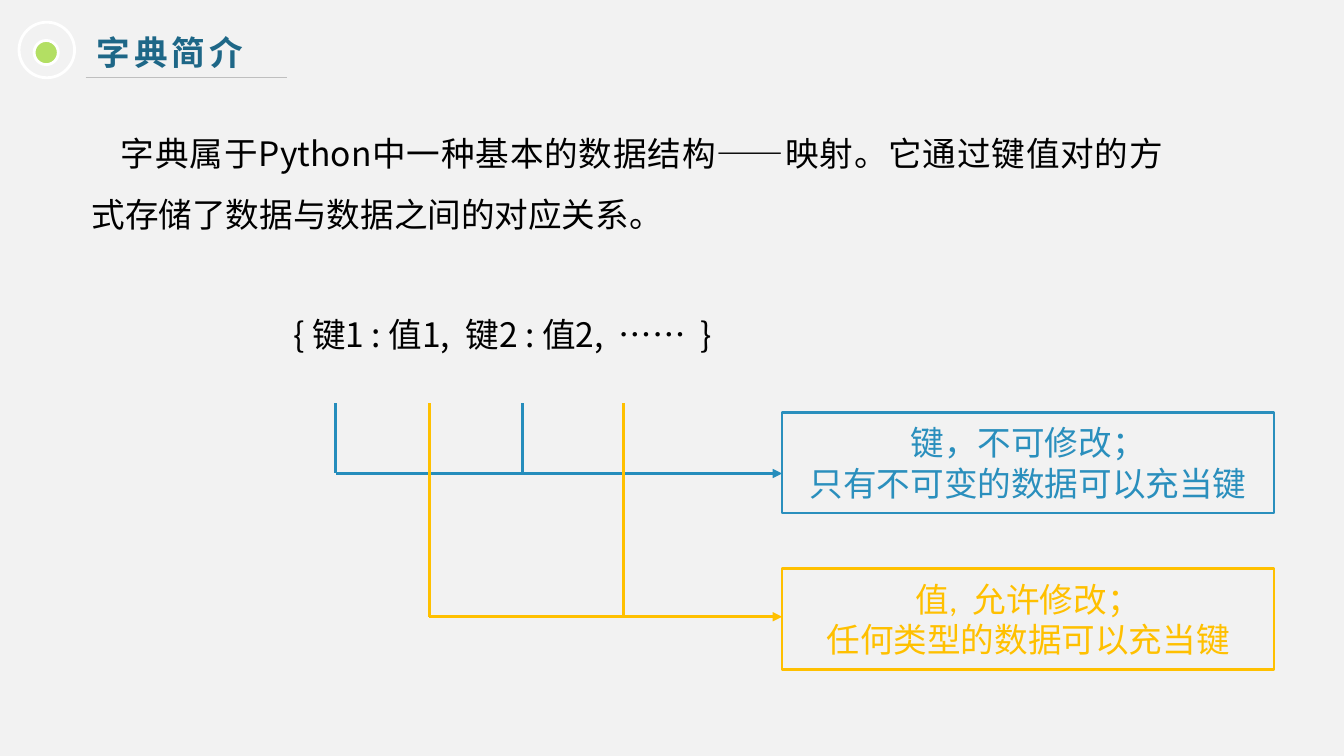
from lxml import etree
from pptx import Presentation
from pptx.dml.color import RGBColor
from pptx.enum.shapes import MSO_CONNECTOR, MSO_SHAPE
from pptx.enum.text import MSO_ANCHOR, PP_ALIGN
from pptx.oxml.ns import qn
from pptx.util import Cm, Pt

STRAIGHT = MSO_CONNECTOR.STRAIGHT
OVAL, RECTANGLE = MSO_SHAPE.OVAL, MSO_SHAPE.RECTANGLE
CENTER, JUSTIFY, LEFT = PP_ALIGN.CENTER, PP_ALIGN.JUSTIFY, PP_ALIGN.LEFT
MIDDLE = MSO_ANCHOR.MIDDLE

PAPER = RGBColor(0xF2, 0xF2, 0xF2)
WHITE = RGBColor(0xFF, 0xFF, 0xFF)
BLACK = RGBColor(0, 0, 0)
NAVY = RGBColor(0x1E, 0x67, 0x87)
GREEN = RGBColor(0xB3, 0xDF, 0x63)
GRAY = RGBColor(0xBF, 0xBF, 0xBF)
RAIL_BLUE = RGBColor(0x25, 0x8D, 0xBC)
BOX_BLUE = RGBColor(0x2A, 0x8F, 0xBD)
AMBER = RGBColor(0xFF, 0xC0, 0x00)

CJK_FONT = "Noto Sans CJK SC"
LATIN_FONT = "Calibri"


def write(frame, lines, color, font=CJK_FONT, bold=False, tracking=0, **para_format):
    """Fill a text frame with one paragraph per line."""
    frame.word_wrap = True
    for index, line in enumerate(lines):
        para = frame.add_paragraph() if index else frame.paragraphs[0]
        for name, value in para_format.items():
            setattr(para, name, value)
        span = para.add_run()
        span.text = line
        for name, value in {"size": Pt(24), "name": font, "bold": bold}.items():
            setattr(span.font, name, value)
        span.font.color.rgb = color
        properties = span.font._element
        if tracking:
            properties.set("spc", str(tracking))
        etree.SubElement(properties, qn("a:ea")).set("typeface", CJK_FONT)
    return frame


def add_text(page, left, top, width, height, lines, color, **text_format):
    box = page.shapes.add_textbox(Cm(left), Cm(top), Cm(width), Cm(height))
    return write(box.text_frame, lines, color, **text_format)


def add_outline(page, kind, left, top, width, height, color, fill=None):
    shape = page.shapes.add_shape(kind, Cm(left), Cm(top), Cm(width), Cm(height))
    shape.shadow.inherit = False
    if fill is None:
        shape.fill.background()
    else:
        shape.fill.solid()
        shape.fill.fore_color.rgb = fill
    shape.line.color.rgb = color
    shape.line.width = Pt(2)
    return shape


def add_line(page, x1, y1, x2, y2, color, width=2.25, arrow=False):
    line = page.shapes.add_connector(STRAIGHT, Cm(x1), Cm(y1), Cm(x2), Cm(y2))
    line.line.color.rgb = color
    line.line.width = Pt(width)
    if arrow:
        etree.SubElement(line.line._get_or_add_ln(), qn("a:tailEnd")).set("type", "triangle")
    etree.SubElement(line._element.spPr, qn("a:effectLst"))


def add_heading(page, left, top, title):
    add_text(page, left + 1.7, top + 0.13, 16.38, 1.27, [title], NAVY, bold=True, tracking=300)
    add_outline(page, OVAL, left + 0.38, top + 0.46, 0.61, 0.61, WHITE, fill=GREEN)
    add_outline(page, OVAL, left, top, 1.4, 1.4, WHITE)
    add_line(page, left + 1.68, top + 1.4, left + 6.76, top + 1.4, GRAY, width=0.75)


def add_introduction(page, left, top, width):
    frame = add_text(
        page, left, top, width, 3.4,
        ["字典属于Python中一种基本的数据结构——映射。它通过键值对的方式存储了数据与数据之间的对应关系。"],
        BLACK, alignment=JUSTIFY, line_spacing=1.5)
    frame.paragraphs[0]._p.get_or_add_pPr().set("indent", str(Cm(0.74)))
    add_text(page, left + 5.08, top + 4.57, 14, 1.8,
             ["{ 键1 : 值1,  键2 : 值2,  ……  }"], BLACK, alignment=LEFT, line_spacing=1.5)


def add_callout(page, left, top, width, height, lines, box_color, rail_color, stems, rail_y):
    """Draw a note box, and the arrow that leads to it from vertical stems."""
    for x in stems:
        add_line(page, x, 10.16, x, rail_y, rail_color)
    add_line(page, stems[0], rail_y, left, rail_y, rail_color, arrow=True)
    box = add_outline(page, RECTANGLE, left, top, width, height, box_color)
    box.text_frame.vertical_anchor = MIDDLE
    write(box.text_frame, lines, box_color, font=LATIN_FONT, alignment=CENTER)


def main():
    deck = Presentation()
    deck.slide_width, deck.slide_height = Cm(33.87), Cm(19.05)
    page = deck.slides.add_slide(deck.slide_layouts[6])
    page.background.fill.solid()
    page.background.fill.fore_color.rgb = PAPER

    add_heading(page, 0.48, 0.56, "字典简介")
    add_introduction(page, 2.06, 2.72, 27.51)
    add_callout(page, 19.71, 10.39, 12.4, 2.54,
                ["键，不可修改；", "只有不可变的数据可以充当键"],
                BOX_BLUE, RAIL_BLUE, stems=(8.46, 13.16), rail_y=11.93)
    add_callout(page, 19.71, 14.33, 12.4, 2.54,
                ["值,  允许修改；", "任何类型的数据可以充当键"],
                AMBER, AMBER, stems=(10.82, 15.72), rail_y=15.54)
    deck.save("out.pptx")


if __name__ == "__main__":
    main()
